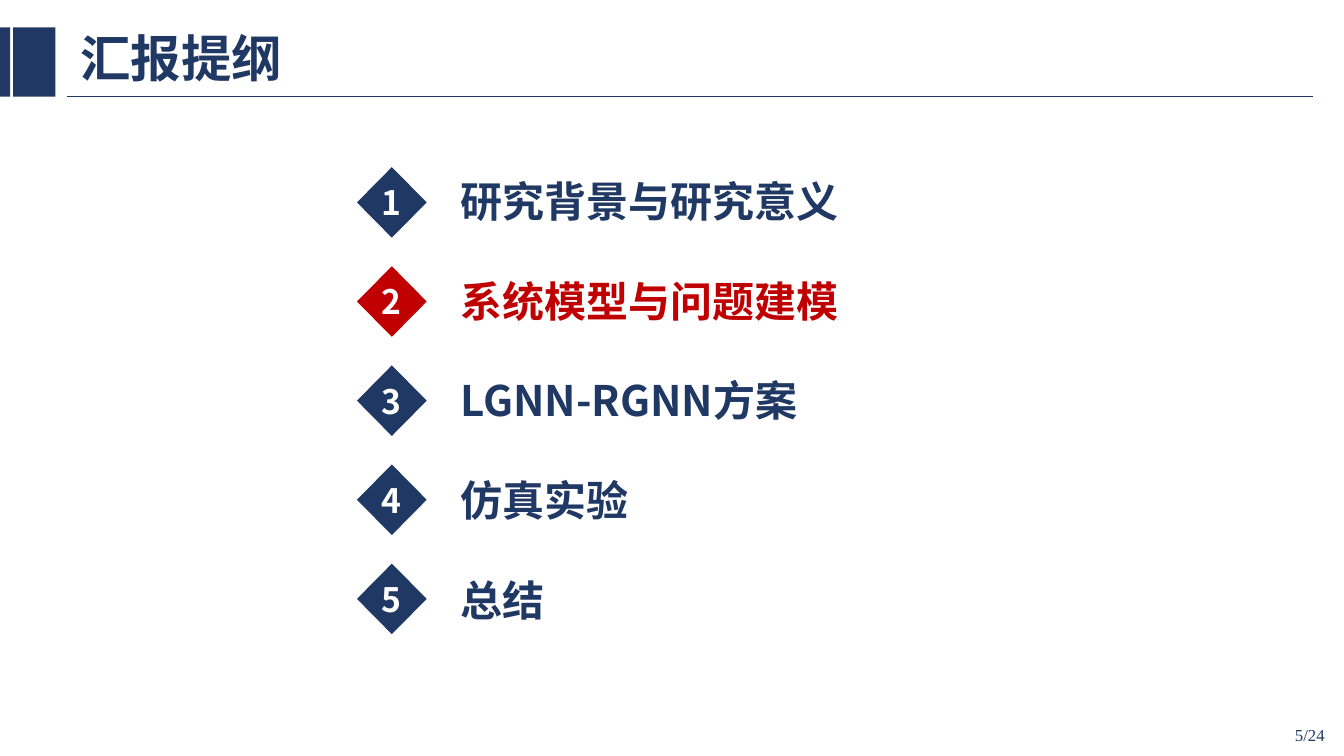
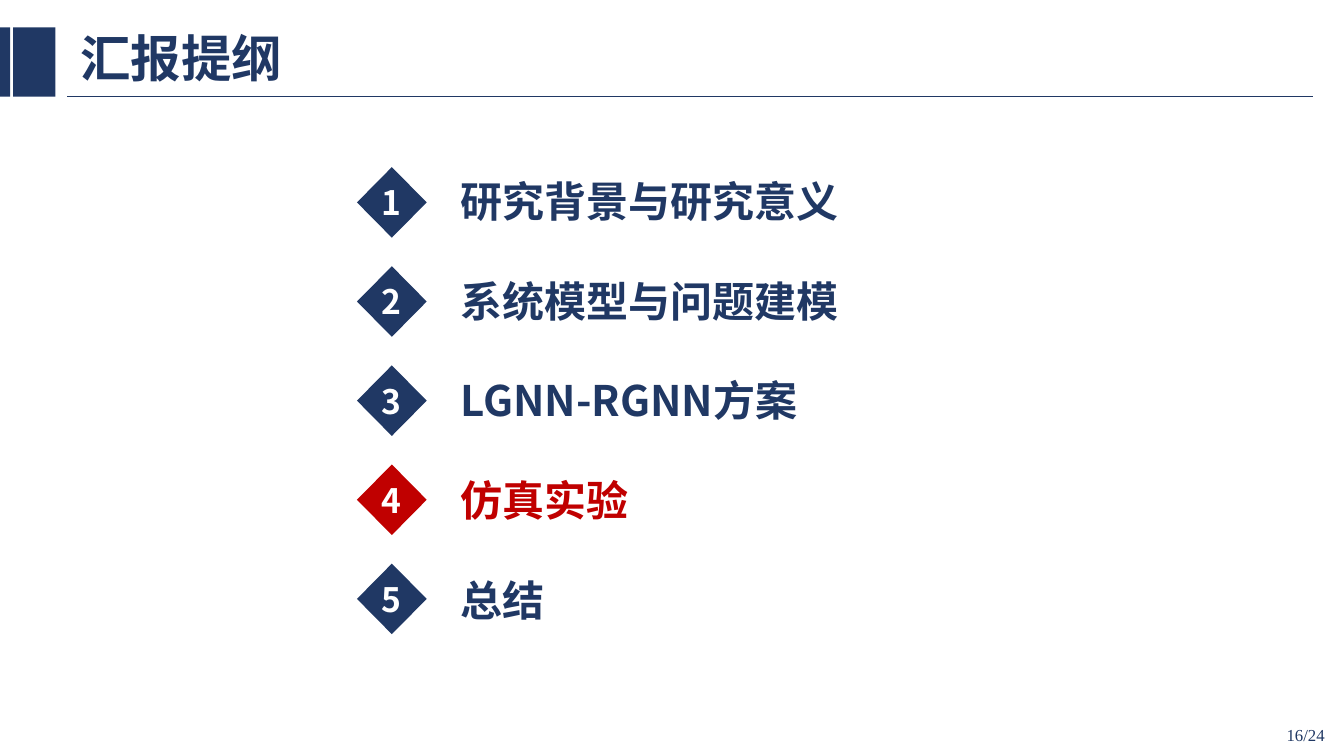
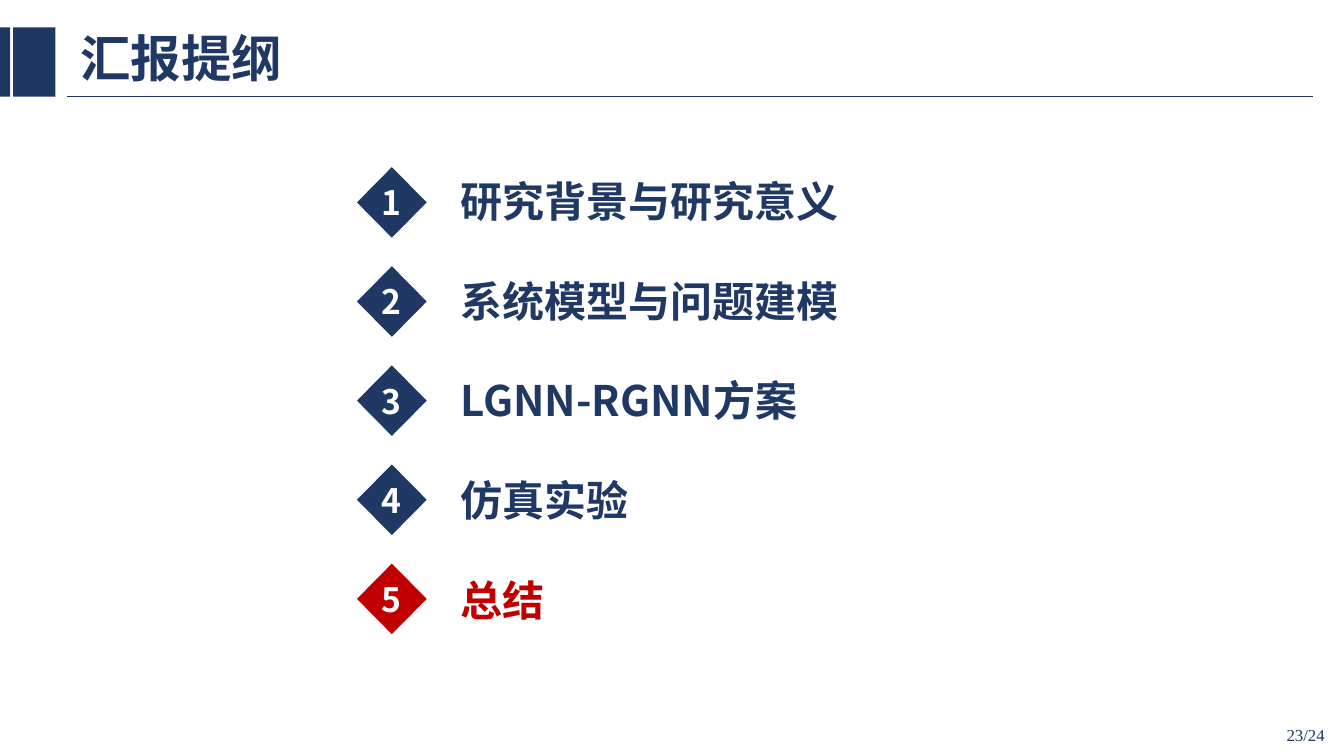
from dataclasses import dataclass

from lxml.etree import SubElement
from pptx import Presentation
from pptx.dml.color import RGBColor
from pptx.enum.shapes import MSO_CONNECTOR, MSO_SHAPE
from pptx.enum.text import MSO_ANCHOR as Anchor, PP_ALIGN as Align
from pptx.oxml.ns import qn
from pptx.shapes.autoshape import Shape
from pptx.slide import Slide
from pptx.util import Inches, Pt

WIDTH, HEIGHT = Inches(13.33), Inches(7.5)
COLUMNS, ROWS = 32, 18


@dataclass(frozen=True)
class TextStyle:
    size: int
    color: RGBColor
    font: str = "Noto Sans CJK SC"
    bold: bool = True
    align: Align = Align.LEFT
    anchor: Anchor = Anchor.MIDDLE
    spacing: float = 1.0


@dataclass(frozen=True)
class Theme:
    navy: RGBColor = RGBColor(0x20, 0x38, 0x64)
    red: RGBColor = RGBColor(0xC0, 0x00, 0x00)
    white: RGBColor = RGBColor(0xFF, 0xFF, 0xFF)
    title_size: int = 36
    topic_size: int = 30
    number_size: int = 24
    footer_size: int = 12
    footer_font: str = "Times New Roman"
    rule_width: float = 1


@dataclass(frozen=True)
class Area:
    """A rectangle in grid columns and rows."""
    column: float
    row: float
    columns: float
    rows: float

    def down(self, rows: float) -> "Area":
        return Area(self.column, self.row + rows, self.columns, self.rows)

    def lengths(self) -> tuple[int, int, int, int]:
        return (across(self.column), down(self.row),
                across(self.columns), down(self.rows))


@dataclass(frozen=True)
class Topic:
    name: str
    columns: float


@dataclass(frozen=True)
class AgendaPage:
    number: int
    current_topic: int


THEME = Theme()
TITLE = "汇报提纲"
PAGE_COUNT = 24
TOPICS = (
    Topic("研究背景与研究意义", 15.24),
    Topic("系统模型与问题建模", 15.24),
    Topic("LGNN-RGNN方案", 15.8),
    Topic("仿真实验", 11.84),
    Topic("总结", 11.84),
)
PAGES = (AgendaPage(5, 2), AgendaPage(16, 4), AgendaPage(23, 5))

HEADER_BARS = (Area(0, 0.65, 0.24, 1.65), Area(0.31, 0.65, 1.01, 1.65))
RULE = Area(1.6, 2.3, 29.67, 0)
TITLE_AREA = Area(1.68, 0.5, 6.46, 1.92)
FOOTER_AREA = Area(24.58, 17.02, 7.2, 0.96)
FIRST_DIAMOND, DIAMOND_PITCH = Area(8.5, 3.98, 1.66, 1.68), 2.36
TOPIC_COLUMN, TOPIC_ROW, TOPIC_ROWS, TOPIC_PITCH = 10.73, 4.05, 1.46, 2.38


def across(columns: float) -> int:
    return round(WIDTH * columns / COLUMNS)


def down(rows: float) -> int:
    return round(HEIGHT * rows / ROWS)


def write(box: Shape, text: str, style: TextStyle) -> None:
    frame = box.text_frame
    frame.word_wrap = True
    frame.vertical_anchor = style.anchor
    para = frame.paragraphs[0]
    para.text = text
    para.alignment = style.align
    para.line_spacing = style.spacing
    font = para.font
    font.size, font.bold, font.name = Pt(style.size), style.bold, style.font
    font.color.rgb = style.color
    defaults = para._p.pPr.find(qn("a:defRPr"))
    SubElement(defaults, qn("a:ea")).set("typeface", style.font)


def add_text(page: Slide, area: Area, text: str, style: TextStyle) -> None:
    write(page.shapes.add_textbox(*area.lengths()), text, style)


def add_solid(page: Slide, kind: MSO_SHAPE, area: Area, color: RGBColor) -> Shape:
    shape = page.shapes.add_shape(kind, *area.lengths())
    shape.shadow.inherit = False
    shape.fill.solid()
    shape.fill.fore_color.rgb = color
    shape.line.fill.background()
    return shape


def add_rule(page: Slide) -> None:
    left, top, width, height = RULE.lengths()
    rule = page.shapes.add_connector(
        MSO_CONNECTOR.STRAIGHT, left, top, left + width, top + height)
    rule.line.color.rgb = THEME.navy
    rule.line.width = Pt(THEME.rule_width)
    SubElement(rule._element.spPr, qn("a:effectLst"))


def add_frame(page: Slide, number: int) -> None:
    """Draw the header and page number that all slides share."""
    add_rule(page)
    for bar in HEADER_BARS:
        add_solid(page, MSO_SHAPE.RECTANGLE, bar, THEME.navy)
    add_text(page, TITLE_AREA, TITLE,
             TextStyle(THEME.title_size, THEME.navy, spacing=0.9))
    add_text(page, FOOTER_AREA, f"{number}/{PAGE_COUNT}",
             TextStyle(THEME.footer_size, THEME.navy, THEME.footer_font,
                       bold=False, align=Align.RIGHT))


def add_topic(page: Slide, index: int, topic: Topic, color: RGBColor) -> None:
    diamond = add_solid(page, MSO_SHAPE.DIAMOND,
                        FIRST_DIAMOND.down(index * DIAMOND_PITCH), color)
    frame = diamond.text_frame
    frame.margin_left = frame.margin_right = 0
    frame.margin_top = frame.margin_bottom = 0
    write(diamond, str(index + 1),
          TextStyle(THEME.number_size, THEME.white, align=Align.CENTER))
    label = Area(TOPIC_COLUMN, TOPIC_ROW, topic.columns, TOPIC_ROWS)
    add_text(page, label.down(index * TOPIC_PITCH), topic.name,
             TextStyle(THEME.topic_size, color, anchor=Anchor.TOP))


def main() -> None:
    deck = Presentation()
    deck.slide_width, deck.slide_height = WIDTH, HEIGHT
    blank = deck.slide_layouts[6]
    for agenda in PAGES:
        page = deck.slides.add_slide(blank)
        add_frame(page, agenda.number)
        for index, topic in enumerate(TOPICS):
            is_current = index + 1 == agenda.current_topic
            add_topic(page, index, topic, THEME.red if is_current else THEME.navy)
    deck.save("out.pptx")


if __name__ == "__main__":
    main()
